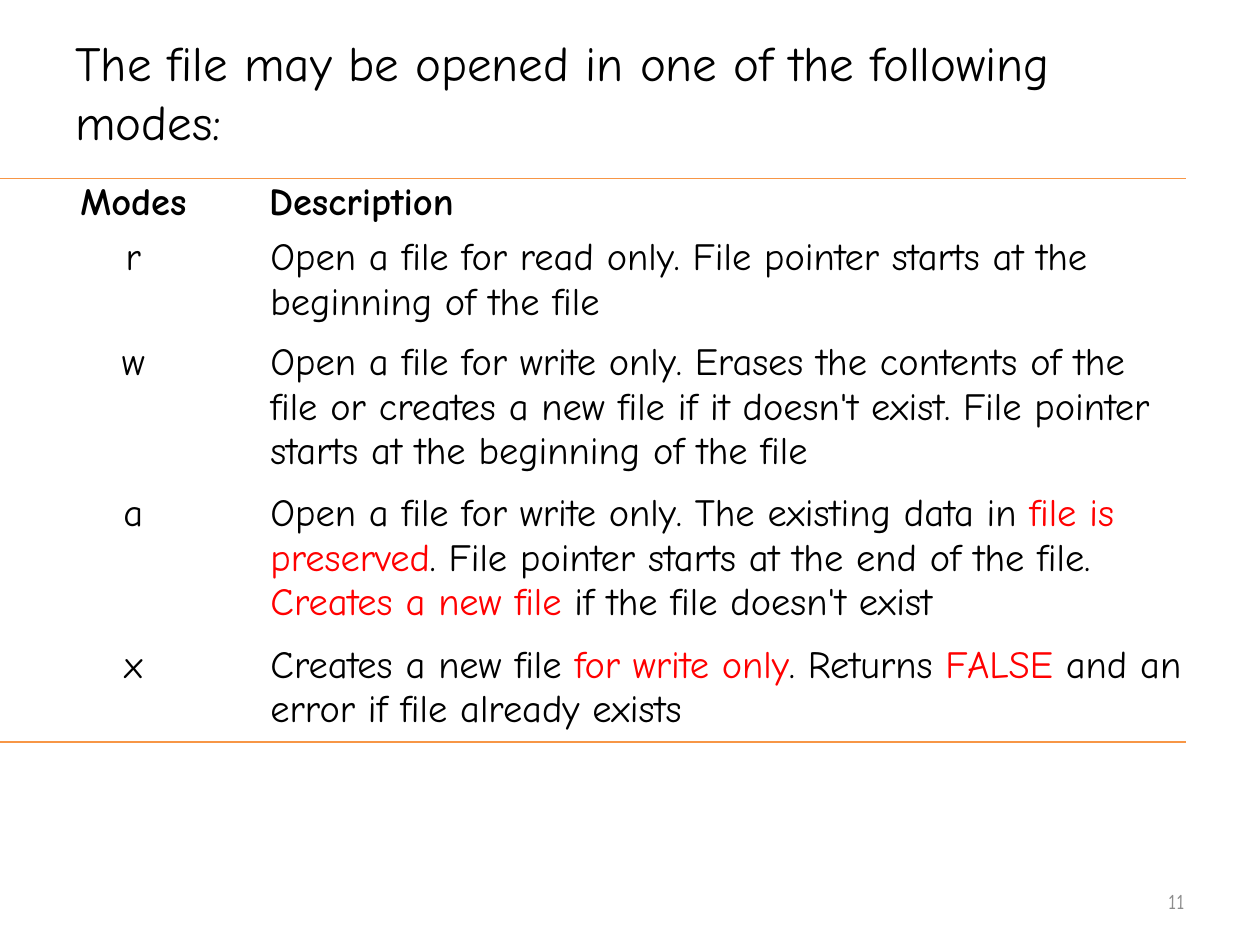
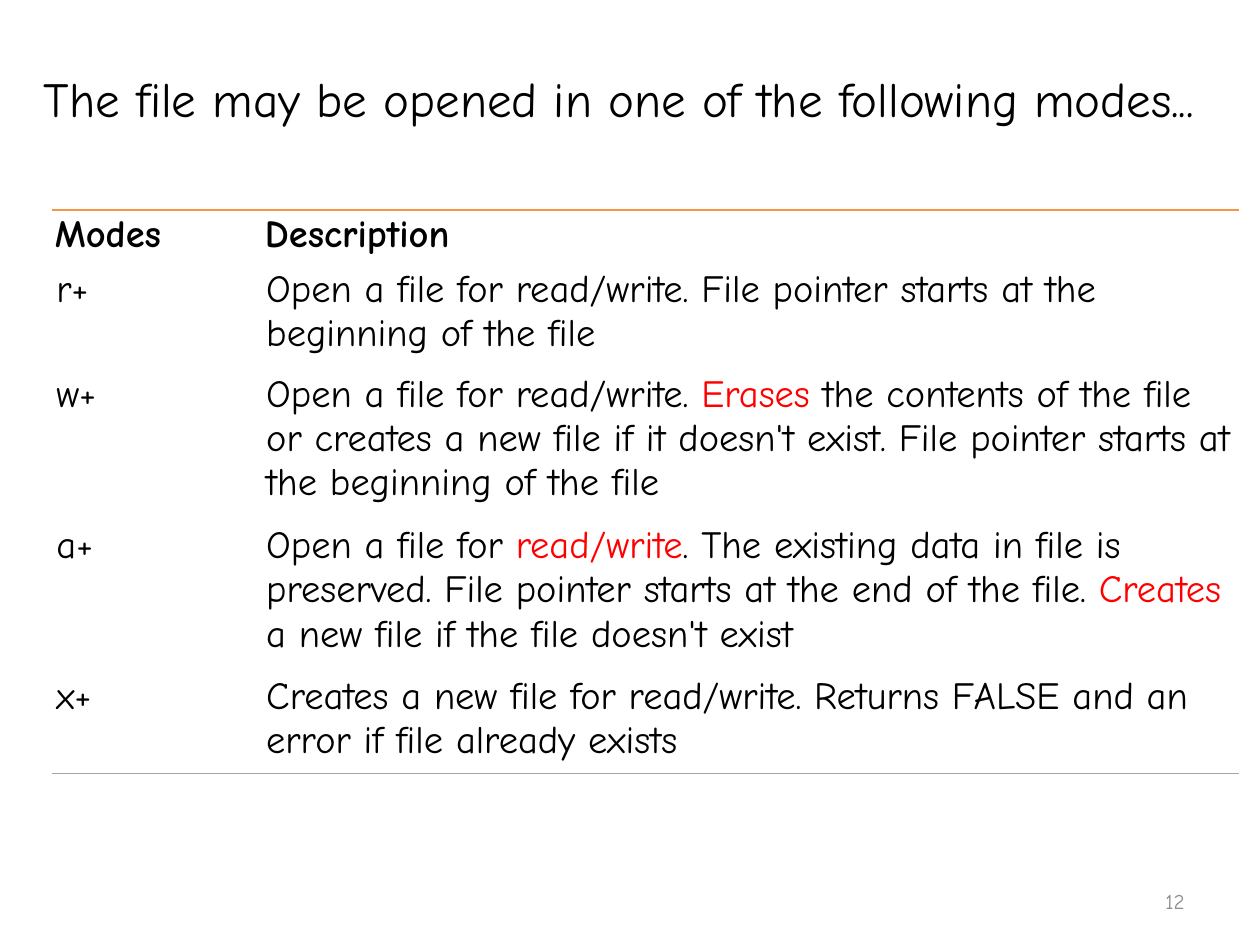
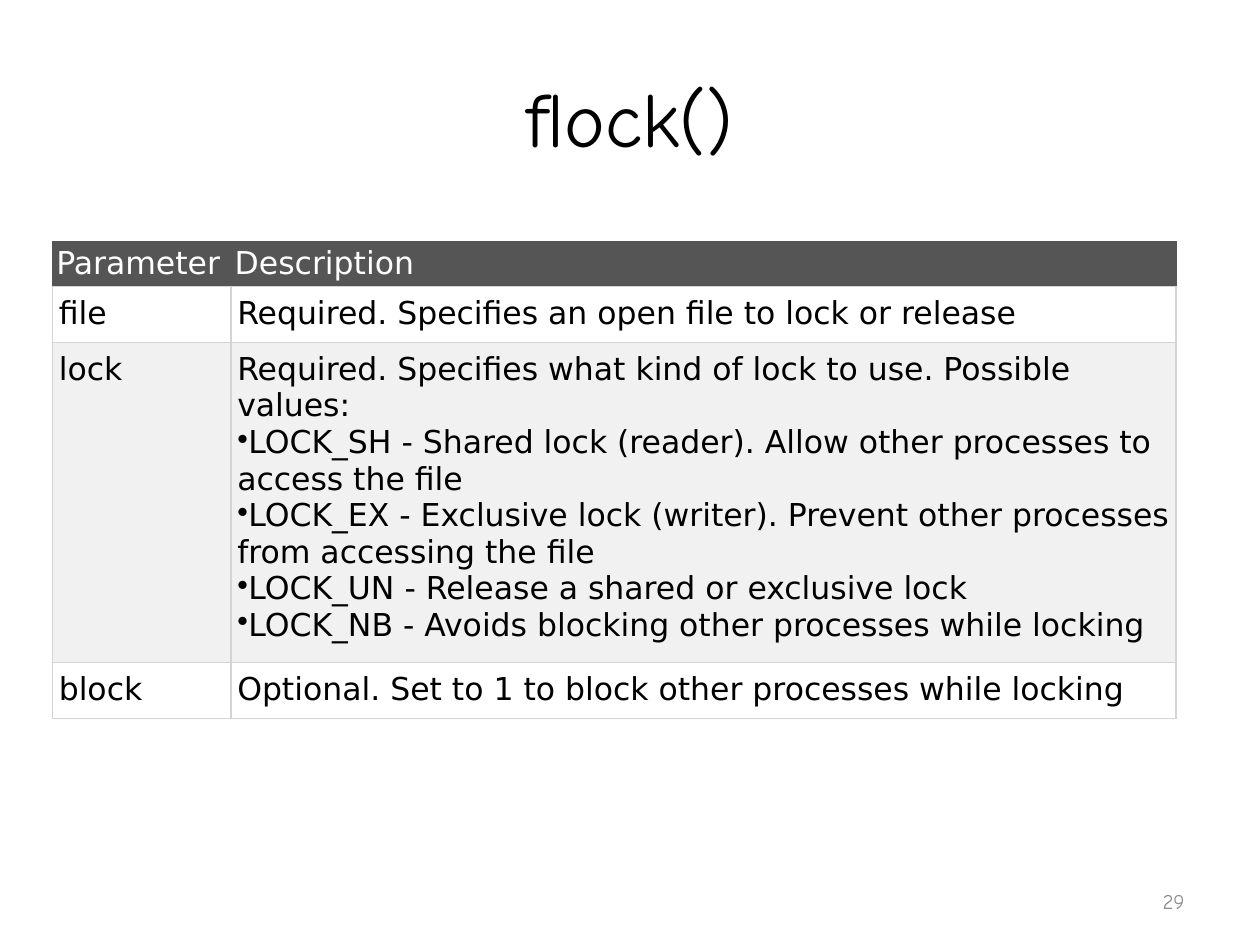
from lxml import etree
from pptx import Presentation
from pptx.dml.color import RGBColor
from pptx.enum.text import MSO_ANCHOR, PP_ALIGN
from pptx.oxml.ns import qn
from pptx.util import Inches, Pt

LEFT, CENTER, RIGHT = PP_ALIGN.LEFT, PP_ALIGN.CENTER, PP_ALIGN.RIGHT
TOP, MIDDLE = MSO_ANCHOR.TOP, MSO_ANCHOR.MIDDLE
SIDES = ("L", "R", "T", "B")
BULLET = "•"
BLANK_LAYOUT = 6


def color(hex_string):
    return RGBColor.from_string(hex_string)


def add_bullet(paragraph):
    properties = paragraph._p.get_or_add_pPr()
    properties.set("marL", "0")
    properties.set("indent", "0")
    etree.SubElement(properties, qn("a:buChar")).set("char", BULLET)


def write_text(frame, text, font, size, ink, accent="FF0000", bold=False, align=LEFT):
    """Fill a frame; parts between bars take the accent, a leading • makes a bullet."""
    for index, line in enumerate(text.split("\n")):
        paragraph = frame.add_paragraph() if index else frame.paragraphs[0]
        paragraph.alignment = align
        if line.startswith(BULLET):
            add_bullet(paragraph)
            line = line[len(BULLET):]
        for number, part in enumerate(line.split("|")):
            if not part:
                continue
            run = paragraph.add_run()
            run.text = part
            run.font.name = font
            run.font.size = Pt(size)
            run.font.bold = bold
            run.font.color.rgb = color(accent if number % 2 else ink)


def set_borders(cell, borders):
    """Draw the sides named in borders as (colour, points); hide the others."""
    properties = cell._tc.get_or_add_tcPr()
    for position, side in enumerate(SIDES):
        line = etree.Element(qn(f"a:ln{side}"))
        if side in borders:
            hex_string, points = borders[side]
            line.set("w", str(Pt(points)))
            fill = etree.SubElement(line, qn("a:solidFill"))
            etree.SubElement(fill, qn("a:srgbClr")).set("val", hex_string)
        else:
            etree.SubElement(line, qn("a:noFill"))
        properties.insert(position, line)


class Deck:
    """Shared style, and the slide being built on a grid of 120 by 90 units."""

    COLUMNS, ROWS = 120, 90
    FONT, TABLE_FONT = "Comic Neue", "DejaVu Sans"
    BLACK, WHITE, GREY = "000000", "FFFFFF", "8C8C8C"
    HEADER, BAND, GRID = "555555", "F1F1F1", "D4D4D4"
    ORANGE, RULE = "F79646", "A6A6A6"

    def __init__(self):
        self.presentation = Presentation()
        self.presentation.slide_width = Inches(10)
        self.presentation.slide_height = Inches(7.5)
        self.slide = None

    def x(self, columns):
        return round(self.presentation.slide_width * columns / self.COLUMNS)

    def y(self, rows):
        return round(self.presentation.slide_height * rows / self.ROWS)

    def add_text(self, text, left, top, width, height, **style):
        box = self.slide.shapes.add_textbox(
            self.x(left), self.y(top), self.x(width), self.y(height))
        frame = box.text_frame
        frame.word_wrap = True
        frame.vertical_anchor = MIDDLE
        write_text(frame, text, **{"font": self.FONT, "ink": self.BLACK, **style})

    def add_slide(self, title, page, place, size=28, align=LEFT):
        layout = self.presentation.slide_layouts[BLANK_LAYOUT]
        self.slide = self.presentation.slides.add_slide(layout)
        self.add_text(title, *place, size=size, align=align)
        self.add_text(str(page), 86, 83.4, 28, 4.8, size=12, ink=self.GREY, align=RIGHT)

    def add_table(self, rows, left, top, widths, heights, format_cell):
        shape = self.slide.shapes.add_table(
            len(rows), len(widths), self.x(left), self.y(top),
            self.x(sum(widths)), self.y(sum(heights)))
        table = shape.table
        table.first_row = table.horz_banding = False
        for column, width in zip(table.columns, widths):
            column.width = self.x(width)
        for row, height in zip(table.rows, heights):
            row.height = self.y(height)
        for row_index, texts in enumerate(rows):
            for column_index, text in enumerate(texts):
                fill, borders, margins, style = format_cell(row_index, column_index)
                cell = table.cell(row_index, column_index)
                cell.vertical_anchor = TOP
                cell.margin_left = cell.margin_right = Inches(margins[0])
                cell.margin_top = cell.margin_bottom = Inches(margins[1])
                cell.fill.solid()
                cell.fill.fore_color.rgb = color(fill)
                set_borders(cell, borders)
                write_text(cell.text_frame, text, **style)

    def add_modes_table(self, modes, left, top, widths, mode_align, bottom_rule):
        """Plain table of file modes, ruled above and below."""
        rows = [("Modes", "Description"), *modes]

        def format_cell(row, column):
            borders = {}
            if row == 0:
                borders["T"] = (self.ORANGE, 1)
            elif row == len(rows) - 1:
                borders["B"] = bottom_rule
            style = dict(font=self.FONT, size=22, ink=self.BLACK, bold=row == 0,
                         align=LEFT if column else mode_align)
            return self.WHITE, borders, (0.03, 0.05) if row else (0.02, 0.02), style

        self.add_table(rows, left, top, widths, (4.7, 9.6, 13.8, 13.8, 9.6), format_cell)

    def add_parameter_table(self, parameters, left, top, widths, heights):
        """Gridded table with a dark header and alternating bands."""
        def format_cell(row, column):
            style = dict(font=self.TABLE_FONT, size=18, ink=self.BLACK if row else self.WHITE)
            borders = dict.fromkeys(SIDES, (self.GRID if row else self.HEADER, 0.75))
            if row == 0:
                borders["B"] = (self.GRID, 0.75)
                return self.HEADER, borders, (0.03, 0.03), style
            return self.WHITE if row % 2 else self.BAND, borders, (0.05, 0.07), style

        rows = [("Parameter", "Description"), *parameters]
        self.add_table(rows, left, top, widths, heights, format_cell)


MODES = [
    ("r", "Open a file for read only. File pointer starts at the beginning of the file"),
    ("w", "Open a file for write only. Erases the contents of the file or creates a new "
          "file if it doesn't exist. File pointer starts at the beginning of the file"),
    ("a", "Open a file for write only. The existing data in |file is preserved|. File pointer "
          "starts at the end of the file. |Creates a new file| if the file doesn't exist"),
    ("x", "Creates a new file |for write only|. Returns |FALSE| and an error if file "
          "already exists"),
]

PLUS_MODES = [
    ("r+", "Open a file for read/write. File pointer starts at the beginning of the file"),
    ("w+", "Open a file for read/write. |Erases| the contents of the file or creates a new "
           "file if it doesn't exist. File pointer starts at the beginning of the file"),
    ("a+", "Open a file for |read/write|. The existing data in file is preserved. File pointer "
           "starts at the end of the file. |Creates| a new file if the file doesn't exist"),
    ("x+", "Creates a new file for read/write. Returns FALSE and an error if file "
           "already exists"),
]

LOCK_PARAMETERS = [
    ("file", "Required. Specifies an open file to lock or release"),
    ("lock", "\n".join([
        "Required. Specifies what kind of lock to use. Possible values:",
        "•LOCK_SH - Shared lock (reader). Allow other processes to access the file",
        "•LOCK_EX - Exclusive lock (writer). Prevent other processes from accessing the file",
        "•LOCK_UN - Release a shared or exclusive lock",
        "•LOCK_NB - Avoids blocking other processes while locking",
    ])),
    ("block", "Optional. Set to 1 to block other processes while locking"),
]


def main():
    deck = Deck()

    # Basic file modes
    deck.add_slide("The file may be opened in one of the following modes:", 11,
                   (6, 7, 108, 3.4))
    deck.add_modes_table(MODES, 0, 17, (25.4, 87.6), CENTER, (deck.ORANGE, 1))

    # Combined read and write modes
    deck.add_slide("The file may be opened in one of the following modes...", 12,
                   (3, 7, 115, 4.7))
    deck.add_modes_table(PLUS_MODES, 5, 20, (20, 93), LEFT, (deck.RULE, 0.5))

    # File locking
    deck.add_slide("flock()", 29, (6, 3.6, 108, 15), size=44, align=CENTER)
    deck.add_parameter_table(LOCK_PARAMETERS, 5, 23, (17, 90), (4.2, 5.3, 29.6, 5.3))

    deck.presentation.save("out.pptx")


if __name__ == "__main__":
    main()
